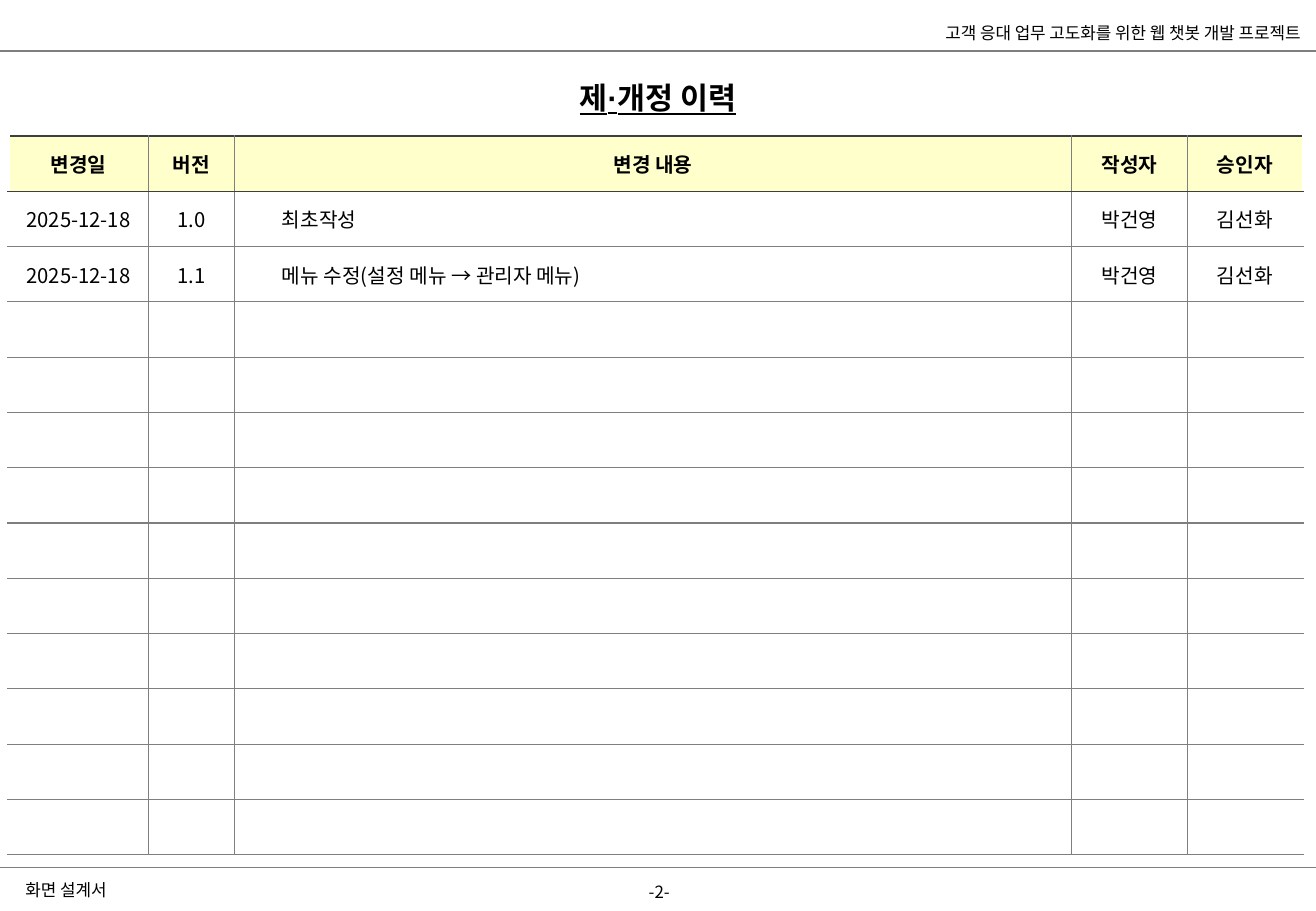
from pptx import Presentation
from pptx.dml.color import RGBColor
from pptx.enum.shapes import MSO_CONNECTOR as Connector
from pptx.enum.text import MSO_ANCHOR as Anchor, MSO_AUTO_SIZE as AutoSize, PP_ALIGN as Align
from pptx.oxml.ns import qn
from pptx.util import Inches, Pt
from lxml.etree import SubElement

BLACK = RGBColor(0x00, 0x00, 0x00)
WHITE = RGBColor(0xFF, 0xFF, 0xFF)
GRAY = RGBColor(0x7F, 0x7F, 0x7F)
DARK = RGBColor(0x3F, 0x3F, 0x3F)
CREAM = RGBColor(0xFF, 0xFF, 0xCC)
KOREAN_FONT = "Noto Sans CJK KR"

WIDTH, HEIGHT = 10.83, 7.5
COLUMN_WIDTHS = [1.15, 0.71, 6.89, 0.95, 0.95]
ROW_COUNT = 13
CONTENT_COLUMN = 2
HISTORY = [
    ["변경일", "버전", "변경 내용", "작성자", "승인자"],
    ["2025-12-18", "1.0", "최초작성", "박건영", "김선화"],
    ["2025-12-18", "1.1", "메뉴 수정(설정 메뉴 → 관리자 메뉴)", "박건영", "김선화"],
]


def write_text(frame, text, size=10, font=KOREAN_FONT, bold=False, underline=False,
               align=Align.LEFT):
    paragraph = frame.paragraphs[0]
    paragraph.alignment = align
    run = paragraph.add_run()
    run.text = text
    run.font.size = Pt(size)
    run.font.name = font
    run.font.bold = bold
    run.font.underline = underline
    run.font.color.rgb = BLACK
    SubElement(run.font._element, qn("a:ea"), typeface=KOREAN_FONT)


def set_margins(holder, left, top, right, bottom):
    holder.margin_left, holder.margin_top = Inches(left), Inches(top)
    holder.margin_right, holder.margin_bottom = Inches(right), Inches(bottom)


def add_label(slide, text, left, top, width, height, margins=(0, 0.04, 0, 0.04),
              anchor=Anchor.MIDDLE, align=Align.LEFT):
    frame = slide.shapes.add_textbox(
        Inches(left), Inches(top), Inches(width), Inches(height)).text_frame
    frame.word_wrap = True
    frame.vertical_anchor = anchor
    set_margins(frame, *margins)
    write_text(frame, text, align=align)


def add_rule(slide, top, weight):
    rule = slide.shapes.add_connector(
        Connector.STRAIGHT, 0, Inches(top), Inches(WIDTH), Inches(top))
    rule.line.color.rgb = GRAY
    rule.line.width = Pt(weight)
    SubElement(rule._element.spPr, qn("a:effectLst"))


def add_header(slide, left, top, width, height):
    add_label(slide, "고객 응대 업무 고도화를 위한 웹 챗봇 개발 프로젝트",
              left, top, width, height, align=Align.RIGHT)
    add_rule(slide, top + 0.24, 1.5)


def add_footer(slide, left, top, width, height):
    add_rule(slide, top - 0.07, 0.75)
    add_label(slide, "화면 설계서", left, top, width, height)
    add_label(slide, "-2-", left + 4.97, top, 0.49, 0.27,
              margins=(0.1, 0.05, 0.1, 0.05), anchor=Anchor.TOP, align=Align.CENTER)


def place_title(slide, left, top, width, height):
    title = slide.shapes.title
    title.left, title.top = Inches(left), Inches(top)
    title.width, title.height = Inches(width), Inches(height)
    frame = title.text_frame
    frame.auto_size = AutoSize.NONE
    frame.word_wrap = True
    frame.vertical_anchor = Anchor.TOP
    set_margins(frame, 0.1, 0.05, 0.1, 0.05)
    write_text(frame, "제·개정 이력", size=18, font="Arial", bold=True,
               underline=True, align=Align.CENTER)


def set_border(cell, side, color, weight):
    line = SubElement(cell._tc.get_or_add_tcPr(), qn(f"a:ln{side}"), w=str(Pt(weight)))
    fill = SubElement(line, qn("a:solidFill"))
    SubElement(fill, qn("a:srgbClr"), val=str(color))


def format_cell(cell, row, column):
    inner = (GRAY, 0.75)
    outer = (WHITE, 1.5)
    below_header = (DARK, 0.75)
    set_border(cell, "L", *(outer if column == 0 else inner))
    set_border(cell, "R", *(outer if column == len(COLUMN_WIDTHS) - 1 else inner))
    set_border(cell, "T", *{0: (DARK, 1.5), 1: below_header}.get(row, inner))
    set_border(cell, "B", *(below_header if row == 0 else inner))
    cell.fill.solid()
    cell.fill.fore_color.rgb = CREAM if row == 0 else WHITE
    cell.vertical_anchor = Anchor.MIDDLE


def add_history(slide, left, top, width, height):
    table = slide.shapes.add_table(
        ROW_COUNT, len(COLUMN_WIDTHS), Inches(left), Inches(top),
        Inches(width), Inches(height)).table
    table.first_row = table.horz_banding = False
    for column, share in zip(table.columns, COLUMN_WIDTHS):
        column.width = Inches(width * share / sum(COLUMN_WIDTHS))
    for row in range(ROW_COUNT):
        table.rows[row].height = Inches(height / ROW_COUNT)
        for column in range(len(COLUMN_WIDTHS)):
            format_cell(table.cell(row, column), row, column)
    for row, texts in enumerate(HISTORY):
        for column, text in enumerate(texts):
            cell = table.cell(row, column)
            is_content = row > 0 and column == CONTENT_COLUMN
            if row == 0:
                set_margins(cell, 0.14, 0.06, 0.14, 0.06)
            else:
                set_margins(cell, 0.39 if is_content else 0.05, 0.05, 0.05, 0.05)
            write_text(cell.text_frame, text, size=12, bold=row == 0,
                       align=Align.LEFT if is_content else Align.CENTER)


def main():
    presentation = Presentation()
    presentation.slide_width = Inches(WIDTH)
    presentation.slide_height = Inches(HEIGHT)
    slide = presentation.slides.add_slide(presentation.slide_layouts[5])
    add_header(slide, 7.23, 0.18, 3.47, 0.18)
    add_footer(slide, 0.21, 7.21, 4.74, 0.23)
    add_history(slide, 0.07, 1.12, 10.65, 5.92)
    place_title(slide, 4.51, 0.6, 1.81, 0.63)
    presentation.save("out.pptx")


if __name__ == "__main__":
    main()
